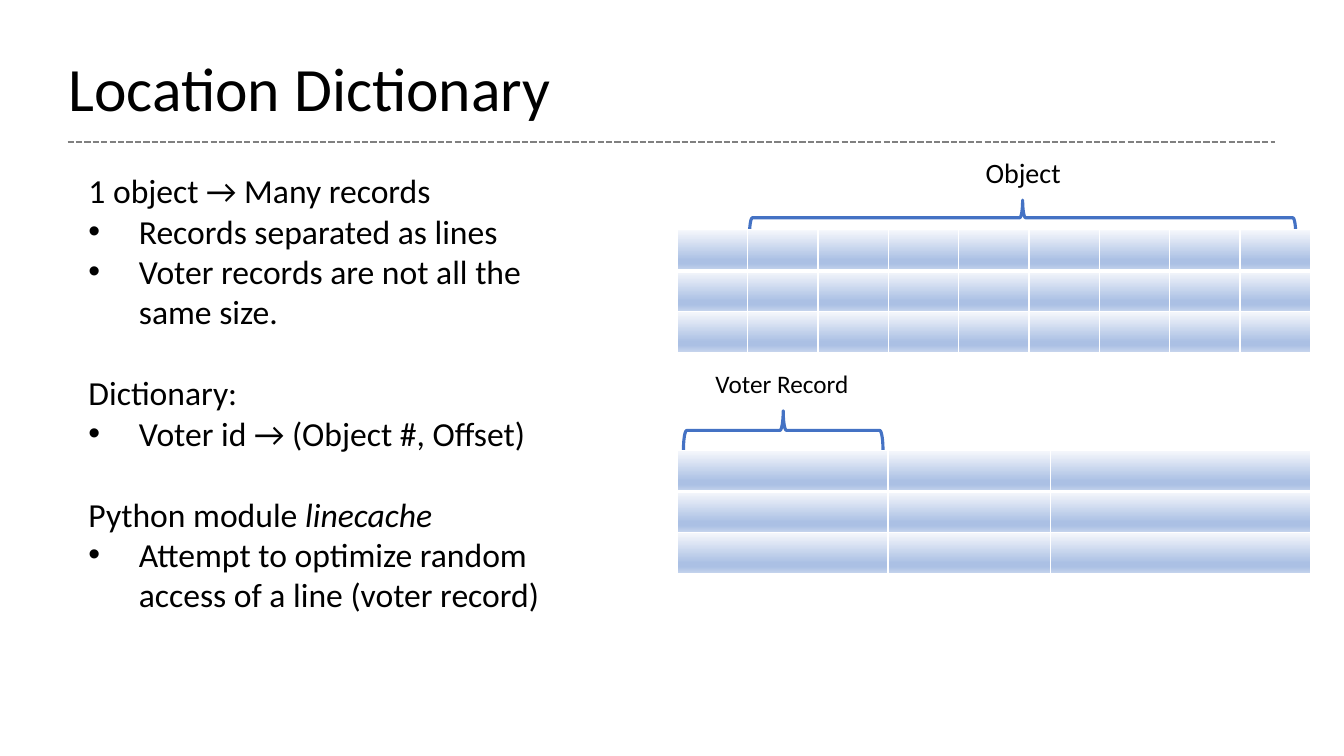
from dataclasses import dataclass

from lxml import etree
from pptx import Presentation
from pptx import util as u
from pptx.dml.color import RGBColor
from pptx.enum import dml, shapes, text
from pptx.oxml import ns

COLUMN = ROW = u.Inches(0.1)
SLIDE_COLUMNS, SLIDE_ROWS = 133.33, 75
FONT = "Calibri"
BLACK, WHITE, BLUE, GRAY = "000000", "FFFFFF", "4472C4", "808080"
CELL_GRADIENT = [(0, "F6F8FC"), (74, "ABC0E4"), (83, "ABC0E4"), (100, "C7D5ED")]
TABLE_LEFT, TABLE_WIDTH = 67.2, 62.8
BLANK_LINE = 29


@dataclass
class Area:
    """A rectangle in grid columns and rows."""
    left: float
    top: float
    width: float
    height: float

    def emu(self) -> list[int]:
        return [int(self.left * COLUMN), int(self.top * ROW),
                int(self.width * COLUMN), int(self.height * ROW)]


@dataclass
class Run:
    words: str
    italic: bool = False


@dataclass
class Line:
    runs: list[Run]
    bullet: bool = False
    starts_section: bool = False


@dataclass
class Label:
    area: Area
    lines: list[Line]
    size: float
    centred: bool = False
    spacing: float = 1.0
    anchor: text.MSO_ANCHOR = text.MSO_ANCHOR.TOP


@dataclass
class RecordTable:
    top: float
    row_height: float
    column_widths: list[float]
    brace: Area


NOTES = [
    Line([Run("1 object → Many records")]),
    Line([Run("Records separated as lines")], bullet=True),
    Line([Run("Voter records are not all the same size.")], bullet=True),
    Line([Run("Dictionary:")], starts_section=True),
    Line([Run("Voter id → (Object #, Offset)")], bullet=True),
    Line([Run("Python module "), Run("linecache", italic=True)], starts_section=True),
    Line([Run("Attempt to optimize random access of a line (voter record)")], bullet=True),
]
LABELS = [
    Label(Area(89.1, 14.9, 24.8, 4.4), [Line([Run("Object")])], 20, centred=True),
    Label(Area(70, 36.1, 15.4, 4), [Line([Run("Voter Record")])], 18),
    Label(Area(7.8, 16.4, 49.4, 49.5), NOTES, 24),
    Label(Area(5.8, 5, 115, 8.1), [Line([Run("Location Dictionary")])], 44,
          spacing=0.9, anchor=text.MSO_ANCHOR.MIDDLE),
]
TABLES = [
    RecordTable(22.8, 4, [TABLE_WIDTH / 9] * 9, Area(74.35, 19.85, 54.2, 3.5)),
    RecordTable(44.7, 4.07, [20.9, 16.1, 25.8], Area(67.8, 40.75, 19.8, 3.9)),
]


def color(value: str) -> RGBColor:
    return RGBColor.from_string(value)


def add_element(parent, tag: str, **attributes):
    element = etree.SubElement(parent, ns.qn(tag))
    for name, value in attributes.items():
        element.set(name, str(value))
    return element


def add_color(parent, value: str) -> None:
    add_element(parent, "a:srgbClr", val=value)


def add_bullet(paragraph) -> None:
    properties = paragraph._p.get_or_add_pPr()
    indent = int(u.Inches(0.5))
    properties.set("marL", str(indent))
    properties.set("indent", str(-indent))
    add_element(properties, "a:buFont", typeface="Arial")
    add_element(properties, "a:buChar", char="•")


def add_label(slide, label: Label) -> None:
    frame = slide.shapes.add_textbox(*label.area.emu()).text_frame
    frame.word_wrap = True
    frame.vertical_anchor = label.anchor
    for index, line in enumerate(label.lines):
        paragraph = frame.add_paragraph() if index else frame.paragraphs[0]
        paragraph.alignment = text.PP_ALIGN.CENTER if label.centred else text.PP_ALIGN.LEFT
        paragraph.line_spacing = label.spacing
        if line.starts_section:
            paragraph.space_before = u.Pt(BLANK_LINE)
        if line.bullet:
            add_bullet(paragraph)
        for part in line.runs:
            run = paragraph.add_run()
            run.text = part.words
            run.font.name = FONT
            run.font.size = u.Pt(label.size)
            run.font.italic = part.italic
            run.font.color.rgb = color(BLACK)


def add_brace(slide, area: Area) -> None:
    """Draw a brace pointing up; area is what it covers after the turn."""
    upright = Area(area.left + (area.width - area.height) / 2,
                   area.top + (area.height - area.width) / 2,
                   area.height, area.width)
    brace = slide.shapes.add_shape(shapes.MSO_SHAPE.RIGHT_BRACE, *upright.emu())
    brace.rotation = 270
    brace.shadow.inherit = False
    brace.fill.background()
    brace.line.color.rgb = color(BLUE)
    brace.line.width = u.Pt(2.25)


def style_cell(cell, borders: dict[str, float]) -> None:
    properties = cell._tc.get_or_add_tcPr()
    for side, points in borders.items():
        border = add_element(properties, f"a:ln{side}", w=int(u.Pt(points)))
        add_color(add_element(border, "a:solidFill"), WHITE)
    gradient = add_element(properties, "a:gradFill", rotWithShape=1)
    stops = add_element(gradient, "a:gsLst")
    for percent, value in CELL_GRADIENT:
        add_color(add_element(stops, "a:gs", pos=percent * 1000), value)
    add_element(gradient, "a:lin", ang=90 * 60000, scaled=0)


def add_record_table(slide, records: RecordTable, row_count: int = 3) -> None:
    area = Area(TABLE_LEFT, records.top, TABLE_WIDTH, records.row_height * row_count)
    table = slide.shapes.add_table(row_count, len(records.column_widths), *area.emu()).table
    table.first_row = table.horz_banding = False
    for column, width in zip(table.columns, records.column_widths):
        column.width = int(width * COLUMN)
    for index, row in enumerate(table.rows):
        row.height = int(records.row_height * ROW)
        borders = {"L": 1, "R": 1, "T": 3 if index == 1 else 1, "B": 3 if index == 0 else 1}
        for cell in row.cells:
            style_cell(cell, borders)


def add_title_rule(slide) -> None:
    left, top, width, _ = Area(6.7, 14.1, 119.8, 0).emu()
    rule = slide.shapes.add_connector(shapes.MSO_CONNECTOR.STRAIGHT, left, top, left + width, top)
    rule.line.color.rgb = color(GRAY)
    rule.line.width = u.Pt(1.5)
    rule.line.dash_style = dml.MSO_LINE.SQUARE_DOT
    add_element(rule._element.spPr, "a:effectLst")


def main() -> None:
    presentation = Presentation()
    presentation.slide_width = int(SLIDE_COLUMNS * COLUMN)
    presentation.slide_height = int(SLIDE_ROWS * ROW)
    slide = presentation.slides.add_slide(presentation.slide_layouts[6])
    for records in TABLES:
        add_brace(slide, records.brace)
        add_record_table(slide, records)
    for label in LABELS:
        add_label(slide, label)
    add_title_rule(slide)
    presentation.save("out.pptx")


if __name__ == "__main__":
    main()
